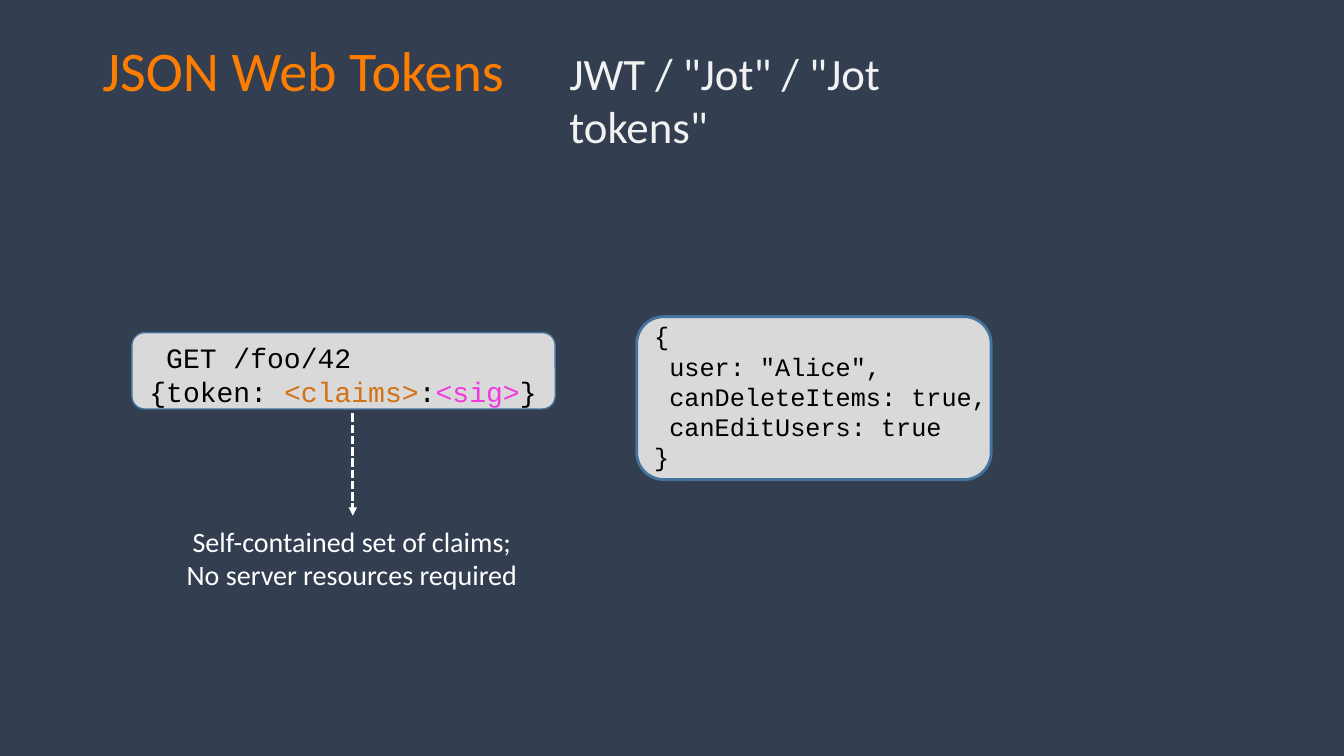
from dataclasses import dataclass

from lxml import etree
from pptx import Presentation
from pptx import util as u
from pptx.dml.color import RGBColor
from pptx.enum import dml, shapes, text
from pptx.oxml.ns import qn


@dataclass(frozen=True)
class Theme:
    # Colours
    back: str = "333F50"
    panel: str = "D9D9D9"
    edge: str = "43739E"
    title: str = "FD7D00"
    subtitle: str = "F2F2F2"
    light: str = "FFFFFF"
    code: str = "000000"
    claims: str = "D37011"
    sig: str = "F237E0"
    # Fonts and sizes
    sans: str = "Calibri"
    mono: str = "Courier New"
    title_size: int = 40
    subtitle_size: int = 32
    body_size: int = 20
    small_size: int = 18


class Deck:
    """Places elements on a grid of 160 columns by 90 rows."""

    COLS, ROWS = 160, 90

    def __init__(self, prs, theme):
        self.prs, self.theme = prs, theme
        self.s = prs.slides.add_slide(prs.slide_layouts[6])
        self.paint(self.s.background.fill, theme.back)

    def grid(self, *cells):
        """Turn alternating columns and rows into lengths."""
        steps = (self.prs.slide_width / self.COLS, self.prs.slide_height / self.ROWS)
        return [u.Emu(round(c * steps[i % 2])) for i, c in enumerate(cells)]

    @staticmethod
    def paint(fill, colour):
        fill.solid()
        fill.fore_color.rgb = RGBColor.from_string(colour)

    def panel(self, box, width):
        sp = self.s.shapes.add_shape(shapes.MSO_SHAPE.ROUNDED_RECTANGLE, *self.grid(*box))
        sp.shadow.inherit = False
        self.paint(sp.fill, self.theme.panel)
        self.paint(sp.line.fill, self.theme.edge)
        sp.line.width = u.Pt(width)

    def text(self, box, lines, size, colour, font=None, align=text.PP_ALIGN.LEFT):
        """Each line is a string or a list of (string, colour) runs."""
        tf = self.s.shapes.add_textbox(*self.grid(*box)).text_frame
        tf.word_wrap = True
        style = {"name": font or self.theme.sans, "size": u.Pt(size)}
        for i, line in enumerate(lines):
            p = tf.add_paragraph() if i else tf.paragraphs[0]
            p.alignment = align
            for words, tint in [(line, colour)] if isinstance(line, str) else line:
                r = p.add_run()
                r.text = words
                r.font.color.rgb = RGBColor.from_string(tint)
                for key, value in style.items():
                    setattr(r.font, key, value)

    def arrow(self, ends, width):
        sp = self.s.shapes.add_connector(shapes.MSO_CONNECTOR.STRAIGHT, *self.grid(*ends))
        self.paint(sp.line.fill, self.theme.light)
        style = {"width": u.Pt(width), "dash_style": dml.MSO_LINE.SQUARE_DOT}
        for key, value in style.items():
            setattr(sp.line, key, value)
        props = sp.line._get_or_add_ln()
        etree.SubElement(props, qn("a:tailEnd"), type="triangle")
        etree.SubElement(sp._element.spPr, qn("a:effectLst"))


def main():
    prs = Presentation()
    prs.slide_width, prs.slide_height = u.Inches(13.33), u.Inches(7.5)
    t = Theme()
    d = Deck(prs, t)

    # Request carrying the token
    d.panel((15.7, 39.6, 50.4, 9.1), 1)
    request = [
        " GET /foo/42",
        [("{token: ", t.code), ("<claims>", t.claims), (":", t.code),
         ("<sig>", t.sig), ("}", t.code)],
    ]
    d.text((16.6, 40, 48.8, 9.2), request, t.body_size, t.code, t.mono)

    # Explanation below the request
    d.arrow((42, 49.2, 42, 61.4), 2)
    d.text((18.5, 61.8, 46.8, 9.2),
           ["Self-contained set of claims;", "No server resources required"],
           t.body_size, t.light, align=text.PP_ALIGN.CENTER)

    # Claims inside the token
    d.panel((75.8, 37.7, 42.2, 19.4), 2)
    claims = ["{", ' user: "Alice",', " canDeleteItems: true,", " canEditUsers: true", "}"]
    d.text((76.7, 37.6, 43.6, 19.4), claims, t.small_size, t.code, t.mono)

    # Heading
    d.text((66.6, 4.8, 54, 7.7), ['JWT / "Jot" / "Jot tokens"'], t.subtitle_size, t.subtitle)
    d.text((11, 3.6, 83.8, 9.2), ["JSON Web Tokens"], t.title_size, t.title)

    prs.save("out.pptx")


if __name__ == "__main__":
    main()
